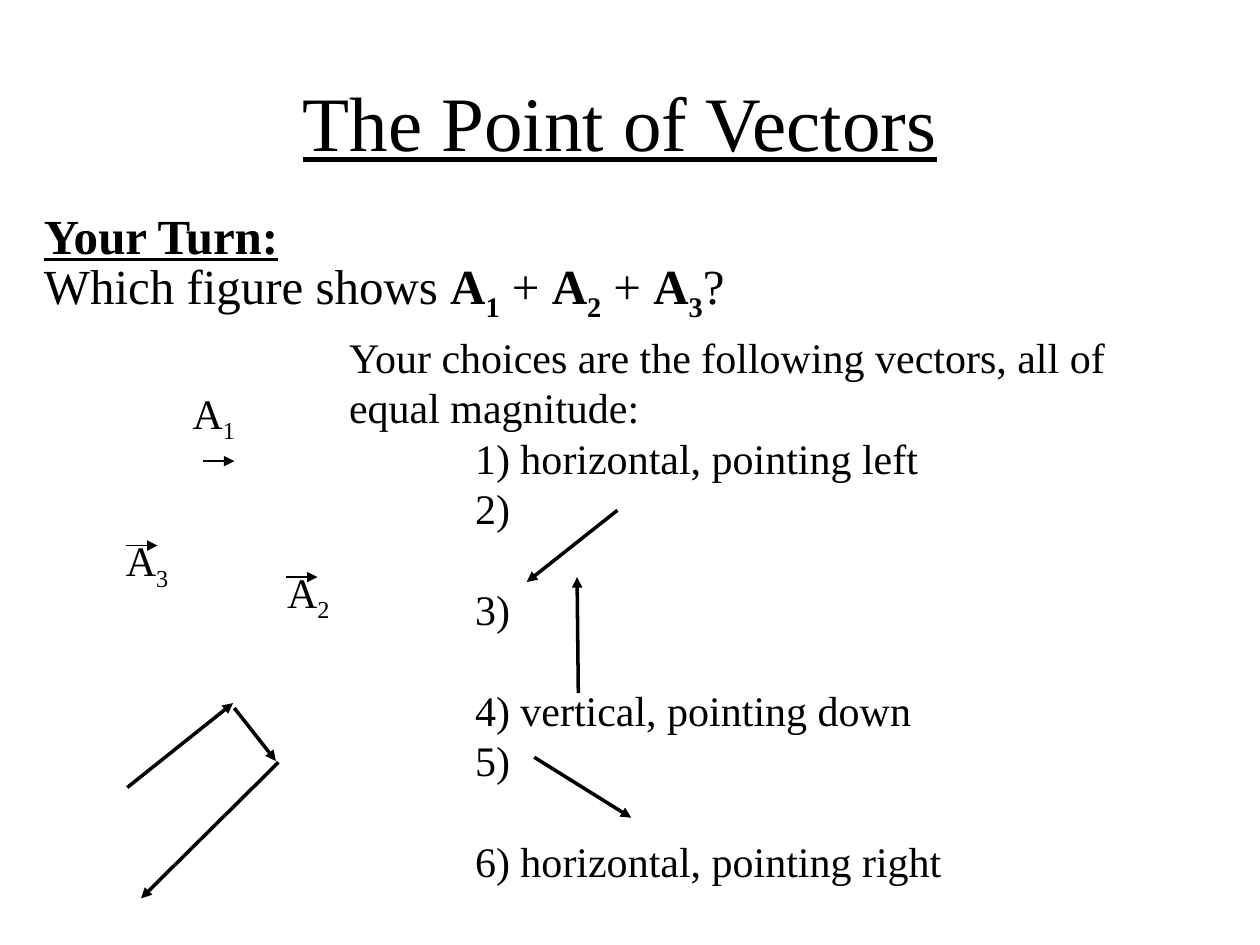
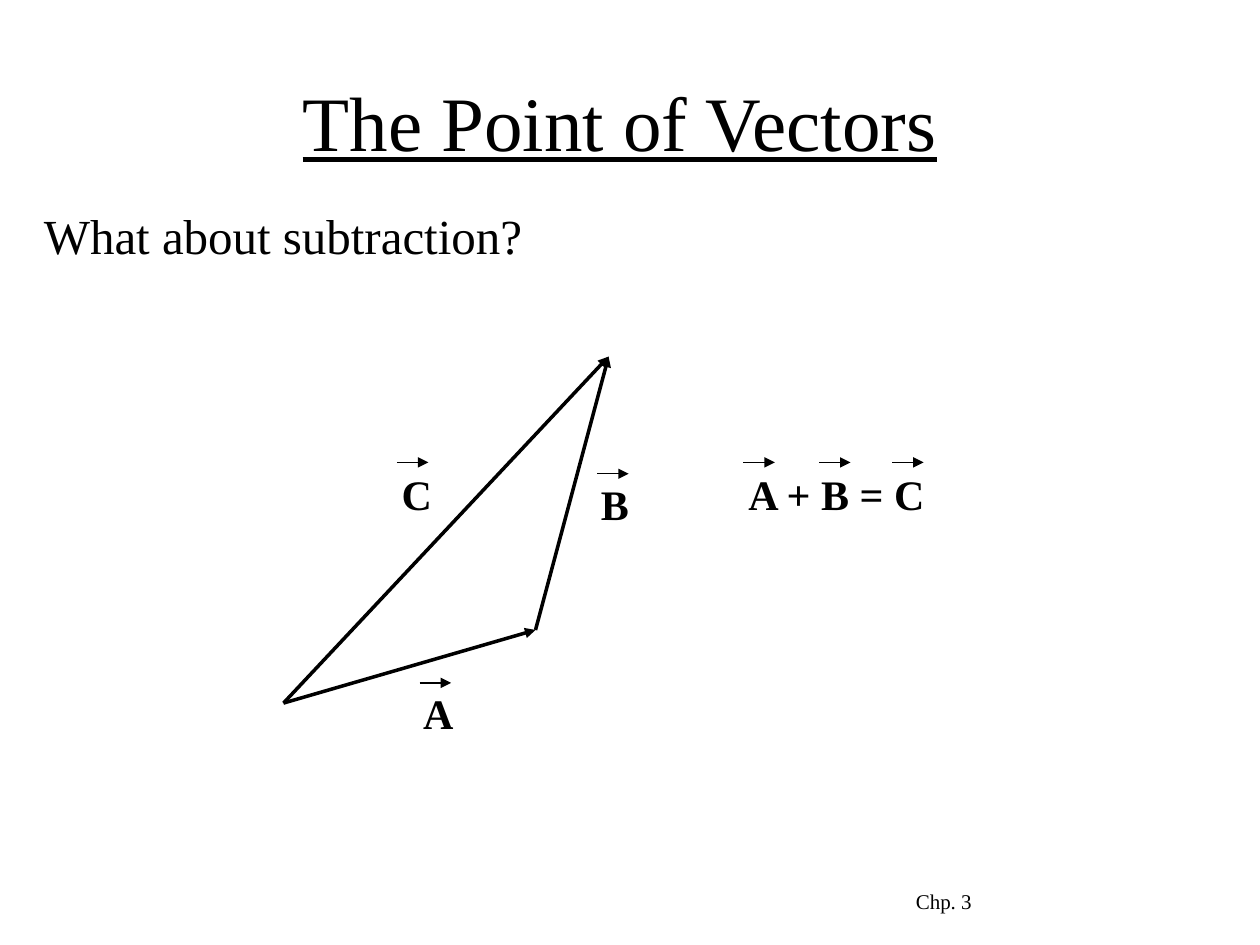
from dataclasses import dataclass
from typing import NamedTuple

from lxml.etree import SubElement
from pptx import Presentation
from pptx.dml.color import RGBColor
from pptx.enum.shapes import MSO_CONNECTOR as Connector
from pptx.enum.text import MSO_ANCHOR as Anchor, MSO_AUTO_SIZE as AutoSize, PP_ALIGN as Align
from pptx.oxml.ns import qn
from pptx.util import Inches, Pt

INK = "000000"
PAPER = "FFFFFF"
FONT = "Times New Roman"
TITLE = "The Point of Vectors"
LINE_HEIGHT = 1.2
VECTOR_WIDTH, ACCENT_WIDTH = 2, 0.75
ACCENT_LENGTH = 0.25
PROMPT_SIZE, TEXT_SIZE = 28, 24


class Run(NamedTuple):
    """A stretch of text with its own emphasis."""
    text: str
    bold: bool = False
    underline: bool = False
    subscript: bool = False


class Choice(NamedTuple):
    """One answer; a drawn vector needs an extra line of room below."""
    text: str
    drawn: bool = False


@dataclass
class Label:
    """The name of a vector with the small arrow above it."""
    runs: list[Run]
    box: tuple[float, float, float, float]
    accents: list[tuple[float, float]]


def colour(value: str) -> RGBColor:
    """Turn a hex string into a colour."""
    return RGBColor.from_string(value)


def write(paragraph, runs: list[Run], *, size: float = TEXT_SIZE, align=Align.LEFT,
          indent: float = 0, after: float = 0) -> None:
    """Fill a paragraph with formatted runs, without a bullet."""
    paragraph.alignment = align
    paragraph.line_spacing = Pt(LINE_HEIGHT * size)
    paragraph.space_before = Pt(0)
    paragraph.space_after = Pt(after)
    properties = paragraph._p.get_or_add_pPr()
    properties.set("marL", str(Inches(indent)))
    properties.set("indent", "0")
    SubElement(properties, qn("a:buNone"))
    for part in runs:
        run = paragraph.add_run()
        run.text = part.text
        font = run.font
        font.name, font.size = FONT, Pt(size)
        font.bold, font.underline = part.bold, part.underline
        font.color.rgb = colour(INK)
        if part.subscript:
            run._r.get_or_add_rPr().set("baseline", "-25000")


def place(shape, box: tuple[float, float, float, float]) -> None:
    """Move and size a placeholder."""
    shape.left, shape.top, shape.width, shape.height = map(Inches, box)
    shape.text_frame.auto_size = AutoSize.NONE


def add_text(slide, box: tuple[float, float, float, float], lines: list[list[Run]],
             *, size: float = TEXT_SIZE, wrap: bool = False) -> None:
    """Add a text box with one paragraph per line."""
    frame = slide.shapes.add_textbox(*map(Inches, box)).text_frame
    frame.word_wrap = wrap
    for number, runs in enumerate(lines):
        write(frame.add_paragraph() if number else frame.paragraphs[0], runs, size=size)


def add_arrow(slide, start: tuple[float, float], end: tuple[float, float],
              width: float = VECTOR_WIDTH) -> None:
    """Draw a straight arrow that points at its end."""
    arrow = slide.shapes.add_connector(Connector.STRAIGHT, *map(Inches, (*start, *end)))
    arrow.line.color.rgb = colour(INK)
    arrow.line.width = Pt(width)
    SubElement(arrow.line._get_or_add_ln(), qn("a:tailEnd"), type="triangle")
    SubElement(arrow._element.spPr, qn("a:effectLst"))


def add_label(slide, label: Label) -> None:
    """Write a label and the vector accents above it."""
    add_text(slide, label.box, [label.runs])
    for x, y in label.accents:
        add_arrow(slide, (x, y), (x + ACCENT_LENGTH, y), ACCENT_WIDTH)


def start_slide(deck, layout: int, prompt: list[list[Run]], prompt_height: float):
    """Add a slide with the shared title and its opening prompt."""
    slide = deck.slides.add_slide(deck.slide_layouts[layout])
    slide.background.fill.solid()
    slide.background.fill.fore_color.rgb = colour(PAPER)
    title = slide.shapes.title
    place(title, (0.67, 0.33, 8.5, 1.25))
    title.text_frame.vertical_anchor = Anchor.MIDDLE
    write(title.text_frame.paragraphs[0], [Run(TITLE, underline=True)],
          size=44, align=Align.CENTER)
    add_text(slide, (0.25, 1.58, 9.42, prompt_height), prompt, size=PROMPT_SIZE, wrap=True)
    return slide


def indexed(index: int, bold: bool = False) -> list[Run]:
    """Name one of the vectors A with its subscript."""
    return [Run("A", bold), Run(str(index), bold, subscript=True)]


def build_addition(deck) -> None:
    """Ask which vector is the sum of three others."""
    question = [Run("Which figure shows "), *indexed(1, True), Run(" + "),
                *indexed(2, True), Run(" + "), *indexed(3, True), Run("?")]
    slide = start_slide(deck, 1, [[Run("Your Turn:", True, True)], question], 1.1)

    answers = slide.placeholders[1]
    place(answers, (2.67, 2.58, 6.92, 4.5))
    frame = answers.text_frame
    write(frame.paragraphs[0],
          [Run("Your choices are the following vectors, all of equal magnitude:")])
    choices = [Choice("horizontal, pointing left"), Choice("", True), Choice("", True),
               Choice("vertical, pointing down"), Choice("", True),
               Choice("horizontal, pointing right")]
    for number, choice in enumerate(choices, 1):
        write(frame.add_paragraph(), [Run(f"{number}) {choice.text}".rstrip())], indent=1,
              after=LINE_HEIGHT * TEXT_SIZE if choice.drawn else 0)

    summands = [((1.01, 6.25), (1.85, 5.58)), ((1.86, 5.62), (2.19, 6.04)),
                ((2.21, 6.05), (1.12, 7.13))]
    drawn_choices = [((4.9, 4.05), (4.18, 4.62)), ((4.59, 5.5), (4.58, 4.58)),
                     ((4.24, 6.01), (5.01, 6.49))]
    for start, end in summands + drawn_choices:
        add_arrow(slide, start, end)

    for label in (Label(indexed(1), (1.43, 3.08, 0.54, 0.56), [(1.61, 3.66)]),
                  Label(indexed(2), (2.18, 4.5, 0.54, 0.56), [(2.27, 4.58)]),
                  Label(indexed(3), (0.9, 4.25, 0.54, 0.56), [(1, 4.33)])):
        add_label(slide, label)


def build_subtraction(deck) -> None:
    """Show the triangle of A, B and their sum C."""
    slide = start_slide(deck, 5, [[Run("What about subtraction?")]], 0.57)
    origin, corner, tip = (2.25, 5.58), (4.25, 5), (4.83, 2.83)
    for start, end in ((origin, corner), (corner, tip), (origin, tip)):
        add_arrow(slide, start, end)

    for label in (Label([Run("A", True)], (3.26, 5.41, 0.44, 0.5), [(3.33, 5.42)]),
                  Label([Run("B", True)], (4.67, 3.75, 0.42, 0.5), [(4.74, 3.76)]),
                  Label([Run("C", True)], (3.09, 3.67, 0.44, 0.5), [(3.15, 3.67)]),
                  Label([Run("A + B = C", True)], (5.84, 3.67, 1.61, 0.5),
                        [(x, 3.67) for x in (5.9, 6.5, 7.08)])):
        add_label(slide, label)
    add_text(slide, (7.17, 7, 0.69, 0.3), [[Run("Chp. 3")]], size=12)


def main() -> None:
    """Build and save the deck."""
    deck = Presentation()
    deck.slide_width, deck.slide_height = Inches(10), Inches(7.5)
    build_addition(deck)
    build_subtraction(deck)
    deck.save("out.pptx")


main()
